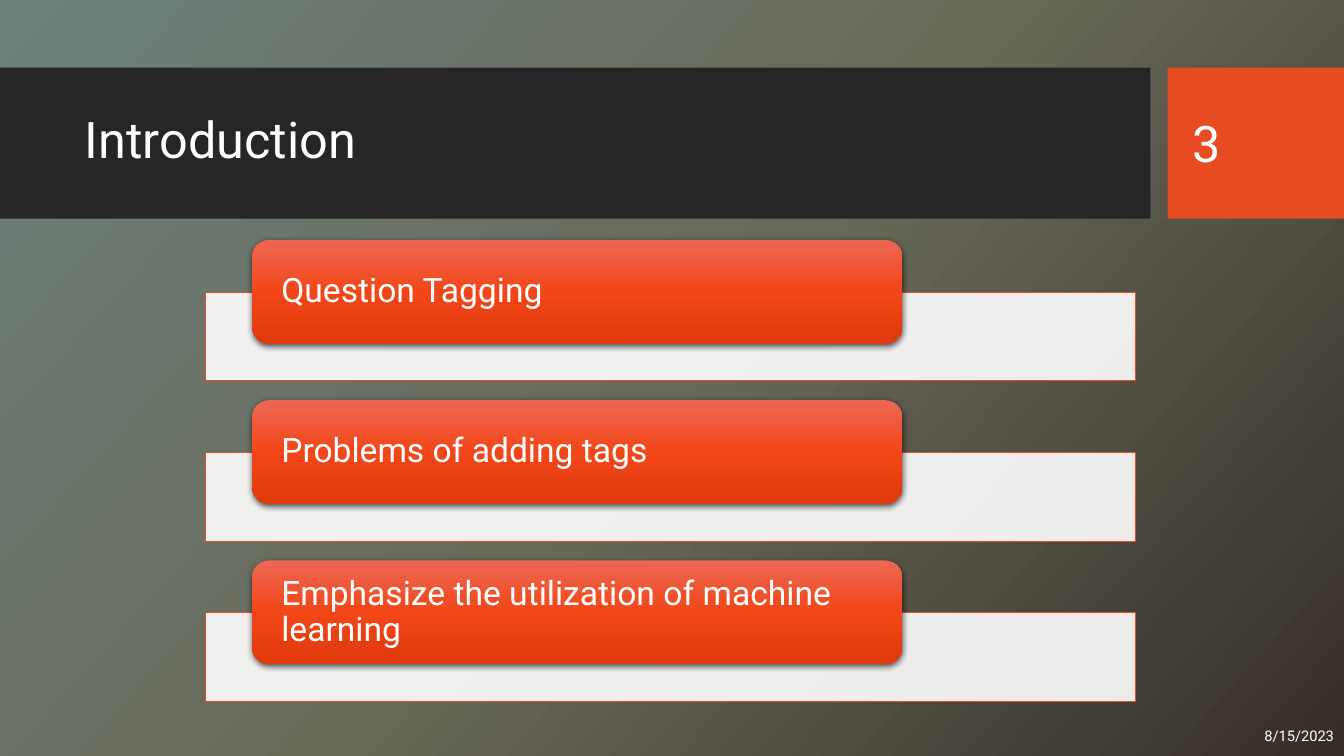
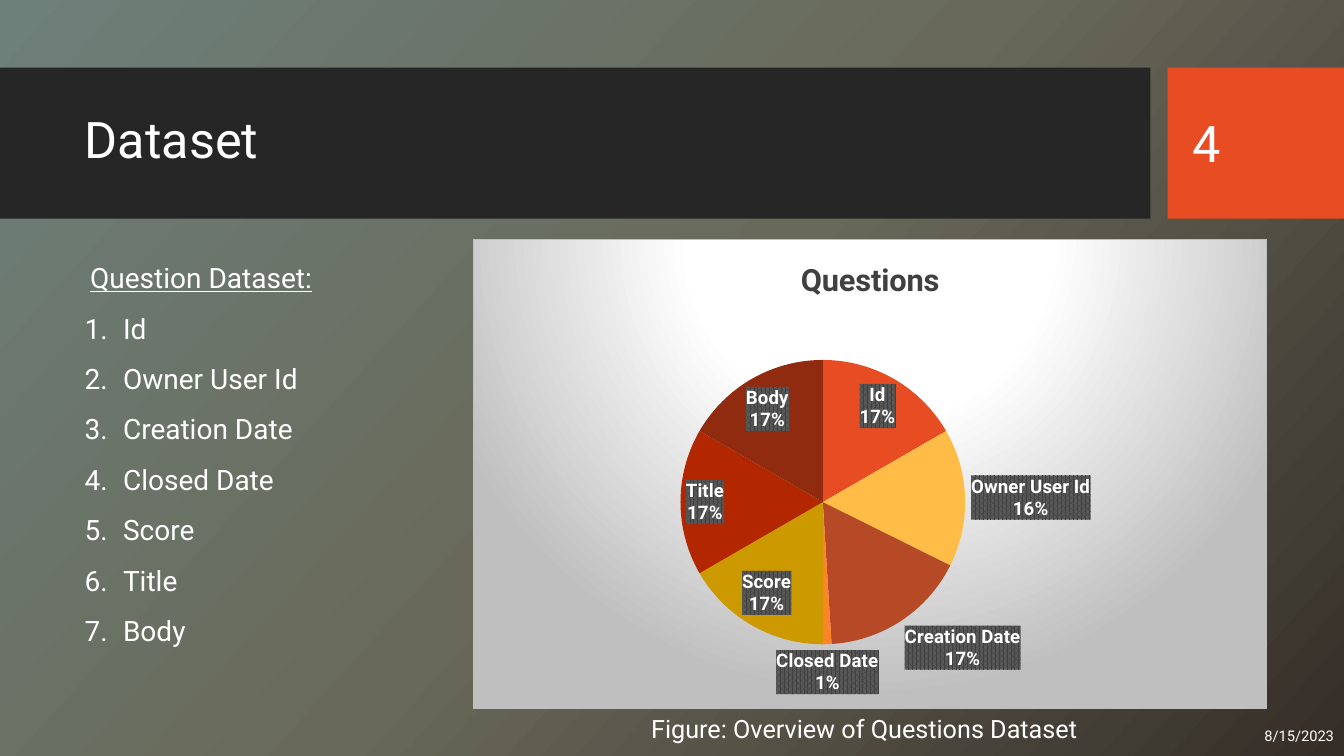
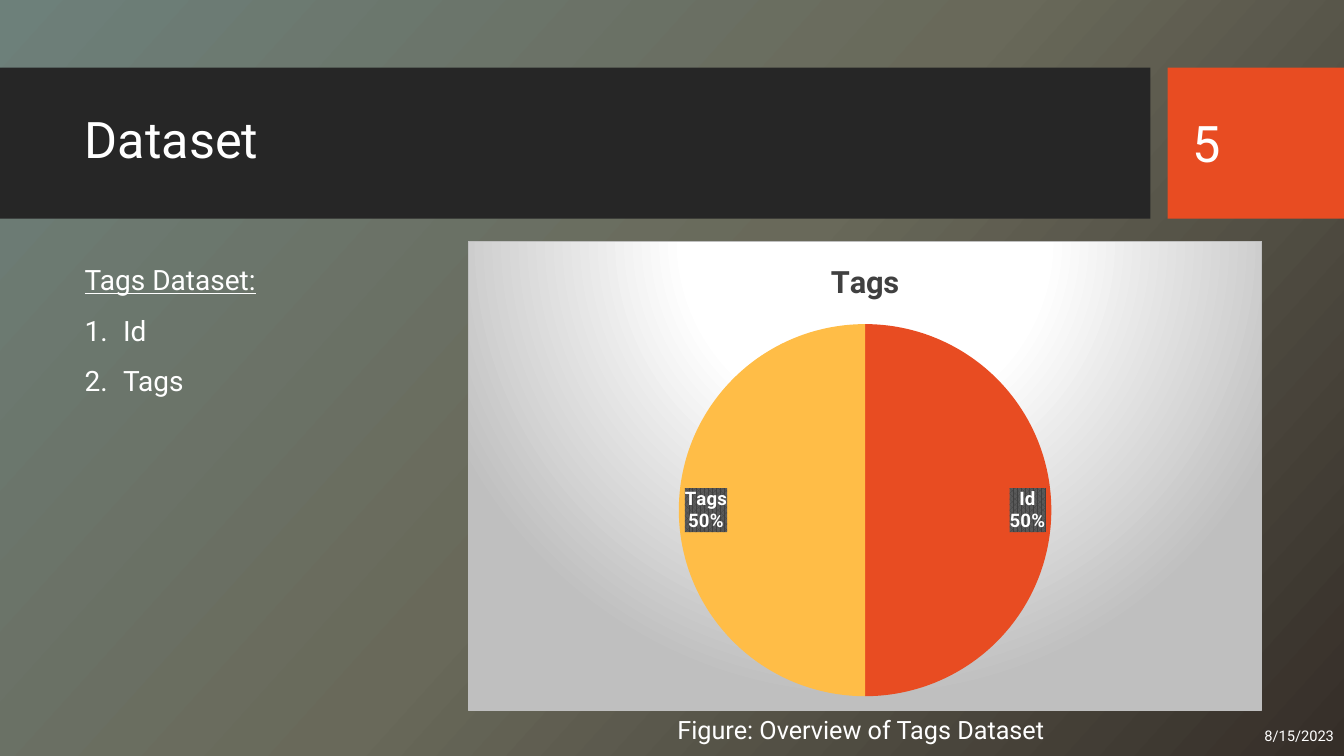
from dataclasses import dataclass

from pptx import Presentation
from pptx.chart.data import CategoryChartData
from pptx.dml.color import RGBColor
from pptx.enum.chart import XL_CHART_TYPE, XL_LABEL_POSITION
from pptx.enum.shapes import MSO_SHAPE
from pptx.enum.text import MSO_ANCHOR, MSO_AUTO_SIZE, PP_ALIGN
from pptx.oxml import parse_xml
from pptx.oxml.ns import nsdecls, qn
from pptx.util import Emu, Pt

EMU_PER_PX = 9144  # 100 px to the inch
FONT = "Roboto"
DATE = "8/15/2023"
FIRST_NUMBER = 3

LEFT, CENTER, RIGHT = PP_ALIGN.LEFT, PP_ALIGN.CENTER, PP_ALIGN.RIGHT
TOP, MIDDLE = MSO_ANCHOR.TOP, MSO_ANCHOR.MIDDLE
RECTANGLE, ROUNDED = MSO_SHAPE.RECTANGLE, MSO_SHAPE.ROUNDED_RECTANGLE
GROW = MSO_AUTO_SIZE.SHAPE_TO_FIT_TEXT
PIE, BEST_FIT = XL_CHART_TYPE.PIE, XL_LABEL_POSITION.BEST_FIT

COLORS = {
    "white": "FFFFFF",
    "band": "262626",
    "accent": "E84C22",
    "chart_title": "404040",
    "chart_edge": "BFBFBF",
    "label_dark": "404040",
    "label_light": "595959",
    "shadow": "000000",
}
SLICE_COLORS = ["E84C22", "FFBD47", "B64926", "FF8427", "CC9900", "B22600", "912B0F"]
PAGE_STOPS = [(0, "6D807A"), (50, "69695A"), (100, "352E28")]
CARD_STOPS = [(0, "EC6853"), (50, "F24618"), (100, "E0390D")]
CHART_STOPS = [(0, "FFFFFF"), (39, "FFFFFF"), (100, "BFBFBF")]
CHART_PATH = ('<a:path path="circle">'
              '<a:fillToRect l="50000" t="-80000" r="50000" b="180000"/></a:path>')


@dataclass(frozen=True)
class Box:
    left: int
    top: int
    width: int
    height: int

    def emu(self) -> list[Emu]:
        return [Emu(n * EMU_PER_PX)
                for n in (self.left, self.top, self.width, self.height)]


@dataclass(frozen=True)
class Dataset:
    heading: str
    heading_align: PP_ALIGN
    list_box: Box
    chart_title: str
    chart_box: Box
    values: dict[str, int]
    caption: str
    caption_box: Box


PAGE_WIDTH, PAGE_HEIGHT = 1333, 750
TITLE_BAND = Box(0, 67, 1141, 150)
NUMBER_BAND = Box(1158, 67, 175, 150)
TITLE_BOX = Box(74, 82, 1051, 118)
NUMBER_BOX = Box(1173, 82, 126, 119)
DATE_BOX = Box(1033, 710, 300, 40)

TOPICS = [
    "Question Tagging",
    "Problems of adding tags",
    "Emphasize the utilization of machine learning",
]
FIRST_BAR = Box(204, 290, 922, 88)
FIRST_CARD = Box(250, 238, 645, 103)
TOPIC_PITCH = 159
CARD_INSET = 24

DATASETS = [
    Dataset(
        "Question Dataset:", CENTER, Box(74, 237, 251, 408),
        "Questions", Box(469, 237, 788, 466),
        {"Id": 17, "Owner User Id": 16, "Creation Date": 17, "Closed Date": 1,
         "Score": 17, "Title": 17, "Body": 17},
        "Figure: Overview of Questions Dataset", Box(636, 703, 454, 40),
    ),
    Dataset(
        "Tags Dataset:", LEFT, Box(74, 239, 251, 162),
        "Tags", Box(464, 239, 788, 466),
        {"Id": 50, "Tags": 50},
        "Figure: Overview of Tags Dataset", Box(662, 704, 392, 40),
    ),
]


def rgb(name: str) -> RGBColor:
    return RGBColor.from_string(COLORS[name])


def place(shape, box: Box) -> None:
    shape.left, shape.top, shape.width, shape.height = box.emu()


def format_font(font, size: float, color: str = "white", bold: bool = False) -> None:
    font.name = FONT
    font.size = Pt(size)
    font.bold = bold
    font.color.rgb = rgb(color)


def format_para(para, size: float, align=LEFT, spacing: float = 1.0) -> None:
    para.alignment = align
    para.line_spacing = spacing
    para.space_before = Pt(0)
    for span in para.runs:
        format_font(span.font, size)


def gradient_xml(stops: list[tuple[int, str]], direction: str) -> str:
    marks = "".join(f'<a:gs pos="{at * 1000}"><a:srgbClr val="{color}"/></a:gs>'
                    for at, color in stops)
    return (f'<a:gradFill {nsdecls("a")} rotWithShape="1">'
            f"<a:gsLst>{marks}</a:gsLst>{direction}</a:gradFill>")


def use_gradient(properties, stops: list[tuple[int, str]], angle: int) -> None:
    """Swap the solid fill in a properties element for a linear gradient."""
    direction = f'<a:lin ang="{angle * 60000}" scaled="0"/>'
    properties.replace(properties.find(qn("a:solidFill")),
                       parse_xml(gradient_xml(stops, direction)))


def add_block(page, box: Box, color: str, kind=RECTANGLE):
    block = page.shapes.add_shape(kind, *box.emu())
    block.shadow.inherit = False
    block.fill.solid()
    block.fill.fore_color.rgb = rgb(color)
    block.line.fill.background()
    return block


def add_text(page, box: Box, text: str, size: float, align=LEFT,
             anchor=MIDDLE, wrap: bool = True) -> None:
    frame = page.shapes.add_textbox(*box.emu()).text_frame
    frame.word_wrap = wrap
    frame.vertical_anchor = anchor
    frame.text = text
    format_para(frame.paragraphs[0], size, align)


def style_master(deck, page) -> None:
    """Give the master its background, title place and the two bands."""
    master = deck.slide_master
    master.background.fill.solid()
    use_gradient(next(master.element.iter(qn("p:bgPr"))), PAGE_STOPS, 42)
    place(master.placeholders[0], TITLE_BOX)
    for box, color in ((TITLE_BAND, "band"), (NUMBER_BAND, "accent")):
        master.shapes.element.insert(2, add_block(page, box, color).element)


def add_page(deck, layout_index: int, title: str):
    page = deck.slides.add_slide(deck.slide_layouts[layout_index])
    frame = page.shapes.title.text_frame
    frame.text = title
    frame.vertical_anchor = MIDDLE
    format_para(frame.paragraphs[0], 36, spacing=0.9)
    add_text(page, DATE_BOX, DATE, 10.5, RIGHT)
    add_text(page, NUMBER_BOX, str(FIRST_NUMBER + len(deck.slides) - 1), 36)
    return page


def add_topic(page, text: str, offset: int) -> None:
    bar_box = Box(FIRST_BAR.left, FIRST_BAR.top + offset,
                  FIRST_BAR.width, FIRST_BAR.height)
    bar = add_block(page, bar_box, "white")
    bar_color = next(bar.element.spPr.iter(qn("a:srgbClr")))
    bar_color.append(parse_xml(f'<a:alpha {nsdecls("a")} val="90000"/>'))
    bar.line.color.rgb = rgb("accent")
    bar.line.width = Pt(0.75)

    card_box = Box(FIRST_CARD.left, FIRST_CARD.top + offset,
                   FIRST_CARD.width, FIRST_CARD.height)
    card = add_block(page, card_box, "accent", ROUNDED)
    use_gradient(card.element.spPr, CARD_STOPS, 90)
    card.element.spPr.find(qn("a:effectLst")).append(parse_xml(
        f'<a:outerShdw {nsdecls("a")} blurRad="{Pt(4.5)}" dist="{Pt(1.5)}" '
        f'dir="5400000" algn="ctr" rotWithShape="0">'
        f'<a:srgbClr val="{COLORS["shadow"]}"><a:alpha val="63000"/></a:srgbClr>'
        "</a:outerShdw>"))
    frame = card.text_frame
    frame.word_wrap = True
    frame.vertical_anchor = MIDDLE
    frame.margin_left = frame.margin_right = Emu(CARD_INSET * EMU_PER_PX)
    frame.margin_top = frame.margin_bottom = 0
    frame.text = text
    format_para(frame.paragraphs[0], 24, spacing=0.9)


def set_bullet(para, indent: int, bullet: str) -> None:
    properties = para._p.get_or_add_pPr()
    properties.set("marL", str(indent * EMU_PER_PX))
    properties.set("indent", str(-indent * EMU_PER_PX))
    properties.append(parse_xml(bullet))


def fill_list(body, dataset: Dataset) -> None:
    place(body, dataset.list_box)
    frame = body.text_frame
    frame.auto_size = GROW
    frame.text = "\n".join([dataset.heading, *dataset.values])
    heading, *items = frame.paragraphs
    format_para(heading, 20, dataset.heading_align, 1.5)
    heading.runs[0].font.underline = True
    set_bullet(heading, 0, f'<a:buNone {nsdecls("a")}/>')
    for item in items:
        format_para(item, 20, spacing=1.5)
        set_bullet(item, 38, f'<a:buAutoNum {nsdecls("a")} type="arabicPeriod"/>')


def add_pie(page, dataset: Dataset) -> None:
    data = CategoryChartData()
    data.categories = list(dataset.values)
    data.add_series(dataset.chart_title, list(dataset.values.values()))
    chart = page.shapes.add_chart(PIE, *dataset.chart_box.emu(), data).chart
    chart.has_legend = False
    format_font(chart.font, 10)
    chart.element.find(qn("c:txPr")).addprevious(parse_xml(
        f'<c:spPr {nsdecls("c", "a")}>{gradient_xml(CHART_STOPS, CHART_PATH)}'
        f'<a:ln w="{Pt(0.75)}"><a:solidFill>'
        f'<a:srgbClr val="{COLORS["chart_edge"]}"/></a:solidFill></a:ln></c:spPr>'))

    chart.has_title = True
    title = chart.chart_title
    title.include_in_layout = False
    title.text_frame.text = dataset.chart_title
    format_font(title.text_frame.paragraphs[0].runs[0].font, 22, "chart_title", True)

    plot = chart.plots[0]
    plot.vary_by_categories = True
    series = plot.series[0]
    for index, color in enumerate(SLICE_COLORS[:len(dataset.values)]):
        fill = series.points[index].format.fill
        fill.solid()
        fill.fore_color.rgb = RGBColor.from_string(color)

    labels = series.data_labels
    labels.show_category_name = labels.show_percentage = True
    labels.show_value = False
    labels.position = BEST_FIT
    format_font(labels.font, 13.3, bold=True)
    label_text = next(series._element.iter(qn("c:dLbls"))).find(qn("c:txPr"))
    label_text.addprevious(parse_xml(
        f'<c:spPr {nsdecls("c", "a")}><a:pattFill prst="pct75">'
        f'<a:fgClr><a:srgbClr val="{COLORS["label_dark"]}"/></a:fgClr>'
        f'<a:bgClr><a:srgbClr val="{COLORS["label_light"]}"/></a:bgClr>'
        "</a:pattFill></c:spPr>"))


def main() -> None:
    deck = Presentation()
    deck.slide_width = Emu(PAGE_WIDTH * EMU_PER_PX)
    deck.slide_height = Emu(PAGE_HEIGHT * EMU_PER_PX)

    introduction = add_page(deck, 5, "Introduction")
    style_master(deck, introduction)
    for index, topic in enumerate(TOPICS):
        add_topic(introduction, topic, index * TOPIC_PITCH)

    for dataset in DATASETS:
        page = add_page(deck, 1, "Dataset")
        fill_list(page.placeholders[1], dataset)
        add_pie(page, dataset)
        add_text(page, dataset.caption_box, dataset.caption, 18, anchor=TOP, wrap=False)

    deck.save("out.pptx")


if __name__ == "__main__":
    main()
